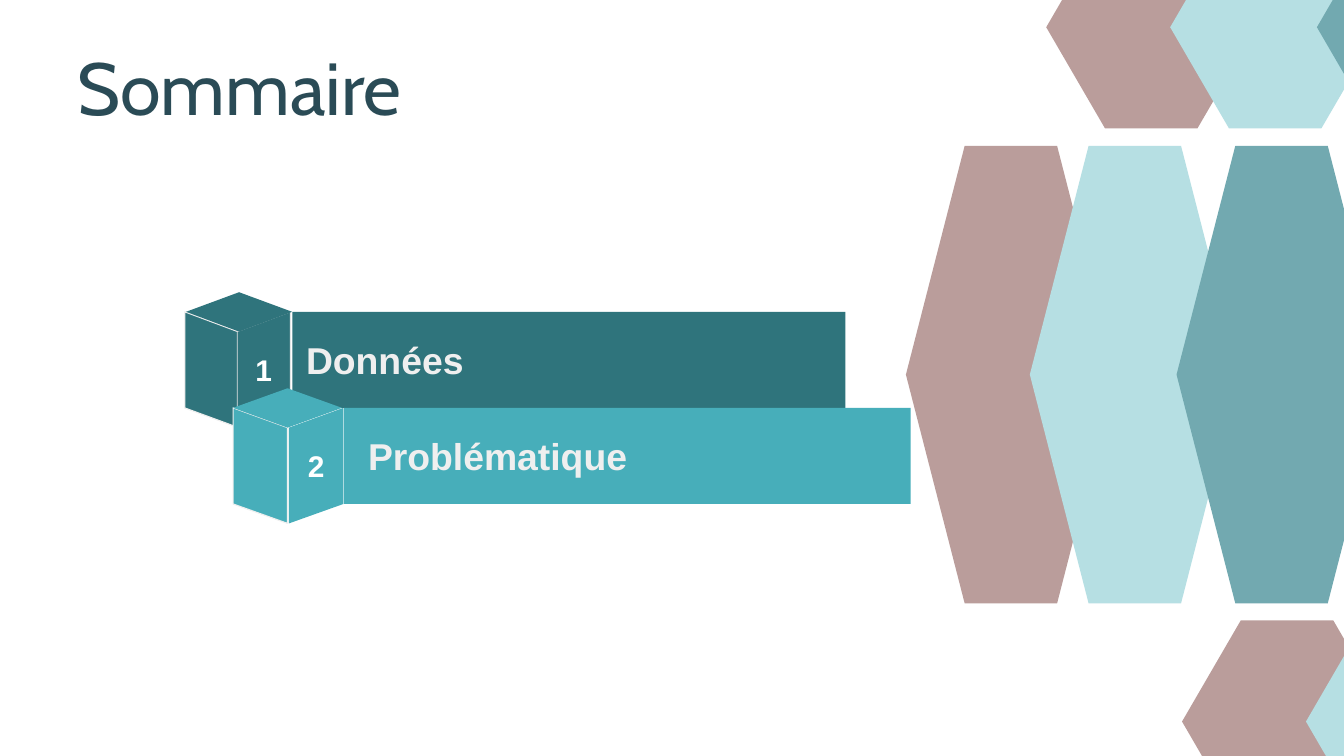
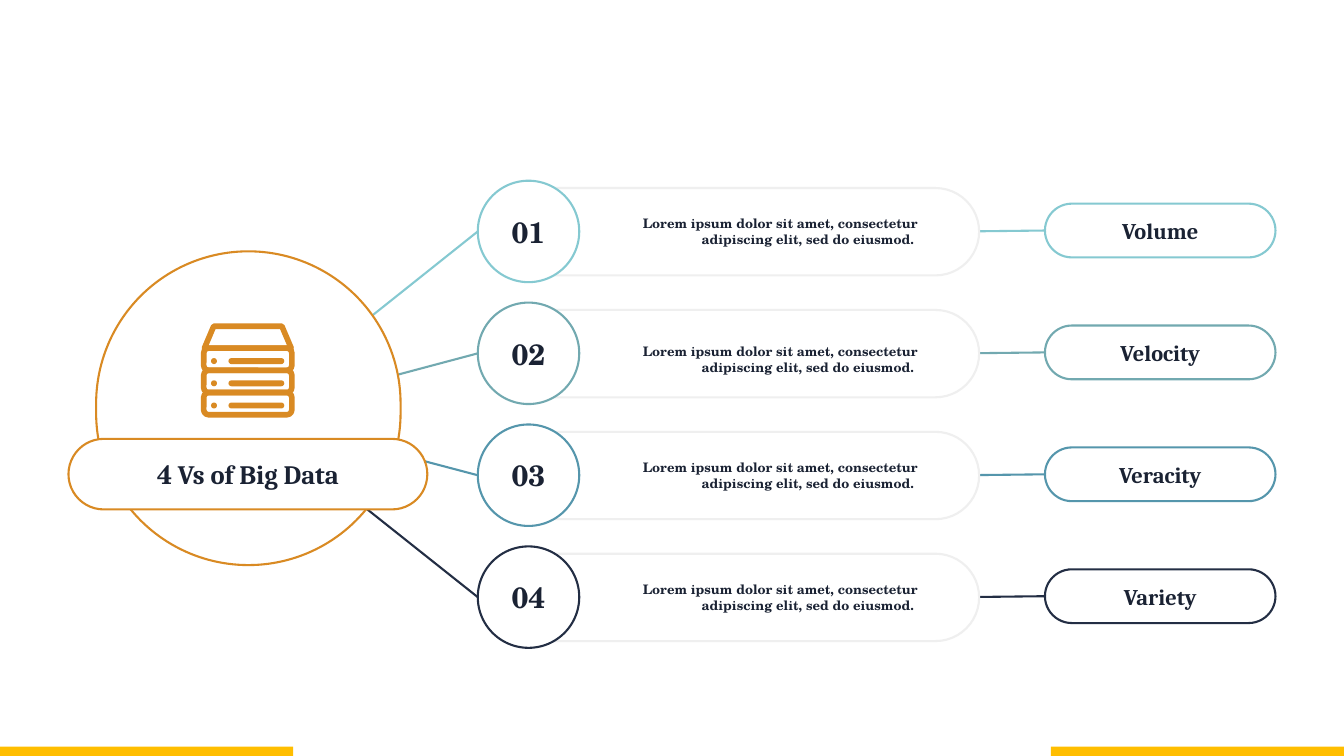
from pptx import Presentation
from pptx import util as u
from pptx.dml import color as dml
from pptx.enum import shapes as kinds
from pptx.enum import text as words
from pptx.oxml import ns
from lxml import etree

WHITE, PALE = "FFFFFF", "EFEFEF"
ROSE, ICE, TEAL = "BA9D9B", "B6DFE3", "72A9B0"
INK, ORANGE, YELLOW = "1A2233", "D98A23", "FFBE00"
SERIF, SLAB, SANS = "Cambria", "TeX Gyre Schola", "Arial"
LEFT, CENTER, RIGHT = (words.PP_ALIGN.LEFT, words.PP_ALIGN.CENTER, words.PP_ALIGN.RIGHT)
RECT = kinds.MSO_SHAPE.RECTANGLE
PILL = kinds.MSO_SHAPE.ROUNDED_RECTANGLE
OVAL = kinds.MSO_SHAPE.OVAL

ITEMS = [
    ("1", "Données", "2F747C", dict(bar=(313.2, 592.6), side=(198, 254.2), width=56.8,
                                    lid=199.4, top=334.1, indent=14.7, edge="E3E3E3")),
    ("2", "Problématique", "47AEBA", dict(bar=(368.6, 607), side=(249.8, 309.6), width=58.3,
                                          lid=249.8, top=437, indent=25.8, edge=None)),
]
ROWS = [("Volume", "85C9D1", 0), ("Velocity", TEAL, 6),
        ("Veracity", "5596AC", 0), ("Variety", "232E44", 0)]
ROW_CENTER, ROW_PITCH = 248, 130.6
HUB_CENTER = (265.7, 444.2)
CAPTION = "Lorem ipsum dolor sit amet, consectetur adipiscing elit, sed do eiusmod. "


def rgb(code):
    """Turn a hex string into a colour."""
    return dml.RGBColor.from_string(code)


def paint(shape, fill=None, line=None, width=2.25):
    """Set the fill and outline of a shape and drop its shadow."""
    shape.shadow.inherit = False
    if fill:
        shape.fill.solid()
        shape.fill.fore_color.rgb = rgb(fill)
    else:
        shape.fill.background()
    if line:
        shape.line.color.rgb = rgb(line)
        shape.line.width = u.Pt(width)
    else:
        shape.line.fill.background()
    return shape


def add_block(slide, kind, left, top, width, height, fill=None, line=None, weight=2.25, corner=0.5):
    """Add a preset shape."""
    shape = slide.shapes.add_shape(kind, u.Pt(left), u.Pt(top), u.Pt(width), u.Pt(height))
    if kind == PILL:
        shape.adjustments[0] = corner
    return paint(shape, fill, line, weight)


def add_outline(slide, points, fill=None, line=None, weight=2.25):
    """Add a closed polygon through the given points."""
    corners = [(u.Pt(x), u.Pt(y)) for x, y in points]
    builder = slide.shapes.build_freeform(*corners[0], scale=1.0)
    builder.add_line_segments(corners[1:], close=True)
    return paint(builder.convert_to_shape(), fill, line, weight)


def add_link(slide, start, end, color):
    """Add a straight connector without a shadow."""
    link = slide.shapes.add_connector(kinds.MSO_CONNECTOR.STRAIGHT,
                                      *[u.Pt(value) for value in (*start, *end)])
    link.line.color.rgb = rgb(color)
    link.line.width = u.Pt(2.25)
    etree.SubElement(link._element.spPr, ns.qn("a:effectLst"))
    return link


def style(span, face, size, color, bold=True):
    """Format one run."""
    span.font.name = face
    span.font.size = u.Pt(size)
    span.font.bold = bold
    span.font.color.rgb = rgb(color)


def write(box, text, face, size, color, align=CENTER, insets=(0, 0, 0, 0),
          anchor=words.MSO_ANCHOR.MIDDLE, bold=True):
    """Put one formatted paragraph in a shape and return it."""
    frame = box.text_frame
    frame.word_wrap = True
    frame.vertical_anchor = anchor
    frame.margin_left, frame.margin_top, frame.margin_right, frame.margin_bottom = map(u.Pt, insets)
    frame.text = text
    para = frame.paragraphs[0]
    para.alignment = align
    style(para.runs[0], face, size, color, bold)
    return para


def add_label(slide, left, top, width, height, text, *look, **layout):
    """Add a text box with one paragraph."""
    box = slide.shapes.add_textbox(u.Pt(left), u.Pt(top), u.Pt(width), u.Pt(height))
    return write(box, text, *look, **layout)


def add_hexagons(slide, left, top, height, colors):
    """Add a run of overlapping hexagons."""
    for offset, color in zip((0, 132.8, 290), colors):
        x, middle, bottom = left + offset, top + height / 2, top + height
        add_outline(slide, [(x + 162, top), (x + 63, top), (x, middle), (x + 63, bottom),
                            (x + 162, bottom), (x + 225, middle)], color)


def add_face(slide, outer, inner, top, color, edge, weight):
    """Add one slanted side of a cube, lower at its inner edge."""
    return add_outline(slide, [(inner, top + 123.8), (outer, top + 103), (outer, top),
                               (inner, top + 21.2)], color, edge, weight)


def add_item(slide, number, name, color, bar, side, width, lid, top, indent, edge):
    """Add an agenda bar with its numbered cube."""
    strip = add_block(slide, RECT, bar[0], top, bar[1], 103, color)
    write(strip, name, SANS, 40, PALE, align=LEFT, insets=(indent, 3.6, 3.6, 3.6))
    add_face(slide, side[0], side[0] + width, top, color, PALE, 1.25)
    front = add_face(slide, side[1] + width, side[1], top, color, edge, 1)
    write(front, number, SANS, 32, WHITE, insets=(3.6,) * 4)
    add_outline(slide, [(lid + width, top + 21.2), (lid + 2 * width, top),
                        (lid + width, top - 21), (lid, top)], color)


def add_server(slide):
    """Add the icon of stacked servers."""
    add_outline(slide, [(229, 349.5), (302, 349.5), (312, 373), (219, 373)], None, ORANGE, 6)
    for tray in range(3):
        top = 373 + 23.8 * tray
        add_block(slide, PILL, 218.3, top, 94.4, 23.8, None, ORANGE, 6, 0.22)
        add_block(slide, OVAL, 226.1, top + 10.7, 6.4, 6.4, ORANGE)
        add_block(slide, PILL, 244.8, top + 10.7, 59.8, 6.4, ORANGE)


def build_agenda(slide):
    """Build the agenda slide."""
    title = add_label(slide, 82.8, 52.6, 784.8, 89.3, "Sommaire", "Cabin", 79, "2A4B56",
                      align=LEFT, anchor=words.MSO_ANCHOR.TOP, bold=False)
    title.line_spacing = u.Pt(87.2)
    add_hexagons(slide, 1121, -79.2, 216.8, (ROSE, ICE, TEAL))
    for number, name, color, layout in ITEMS:
        add_item(slide, number, name, color, **layout)
    add_hexagons(slide, 1266.5, 664.6, 217, (ROSE, ICE))
    add_hexagons(slide, 970.6, 156.2, 490.4, (ROSE, ICE, TEAL))


def build_four_vs(slide):
    """Build the slide on the four Vs."""
    rows = [(ROW_CENTER + ROW_PITCH * index, *row) for index, row in enumerate(ROWS)]
    for center, name, color, _ in rows:
        tag = add_block(slide, PILL, 1119.6, center - 29.8, 247, 57.6, WHITE, color)
        write(tag, name, SERIF, 24, INK, insets=(10.8,) * 4)
        link = add_link(slide, (997.2, center + 0.4), (1119.6, center - 1), color)
        link.end_connect(tag, 1)
    for center, *_ in rows:
        add_block(slide, PILL, 527.8, center - 46.5, 521.3, 93.6, WHITE, PALE)
    for index, (center, _, color, _) in enumerate(rows, 1):
        add_link(slide, HUB_CENTER, (511.9, center), color)
        disc = add_block(slide, OVAL, 511.9, center - 54.4, 108.7, 108.7, WHITE, color)
        write(disc, f"{index:02}", SLAB, 31.5, INK, insets=(0, 10.8, 0, 10.8))
    add_block(slide, PILL, 103, 269.3, 326.2, 336.2, WHITE, ORANGE)
    add_server(slide)
    banner = add_block(slide, PILL, 73.4, 470.2, 384.5, 75.6, WHITE, ORANGE)
    heading = write(banner, "4", SLAB, 28.5, INK, insets=(10.8,) * 4)
    span = heading.add_run()
    span.text = " Vs of Big Data"
    style(span, SERIF, 28.5, INK)
    for center, _, _, nudge in rows:
        add_label(slide, 647.3, center - 20.5 + nudge, 343.4, 41, CAPTION, SLAB, 14, INK,
                  align=RIGHT, insets=(7.2, 3.6, 7.2, 3.6))
    for left in (0, 1126):
        add_block(slide, RECT, left, 800, 314, 13, YELLOW)


def main():
    """Build and save the deck."""
    deck = Presentation()
    deck.slide_width, deck.slide_height = u.Pt(1440), u.Pt(810)
    for build in (build_agenda, build_four_vs):
        build(deck.slides.add_slide(deck.slide_layouts[6]))
    deck.save("out.pptx")


if __name__ == "__main__":
    main()
